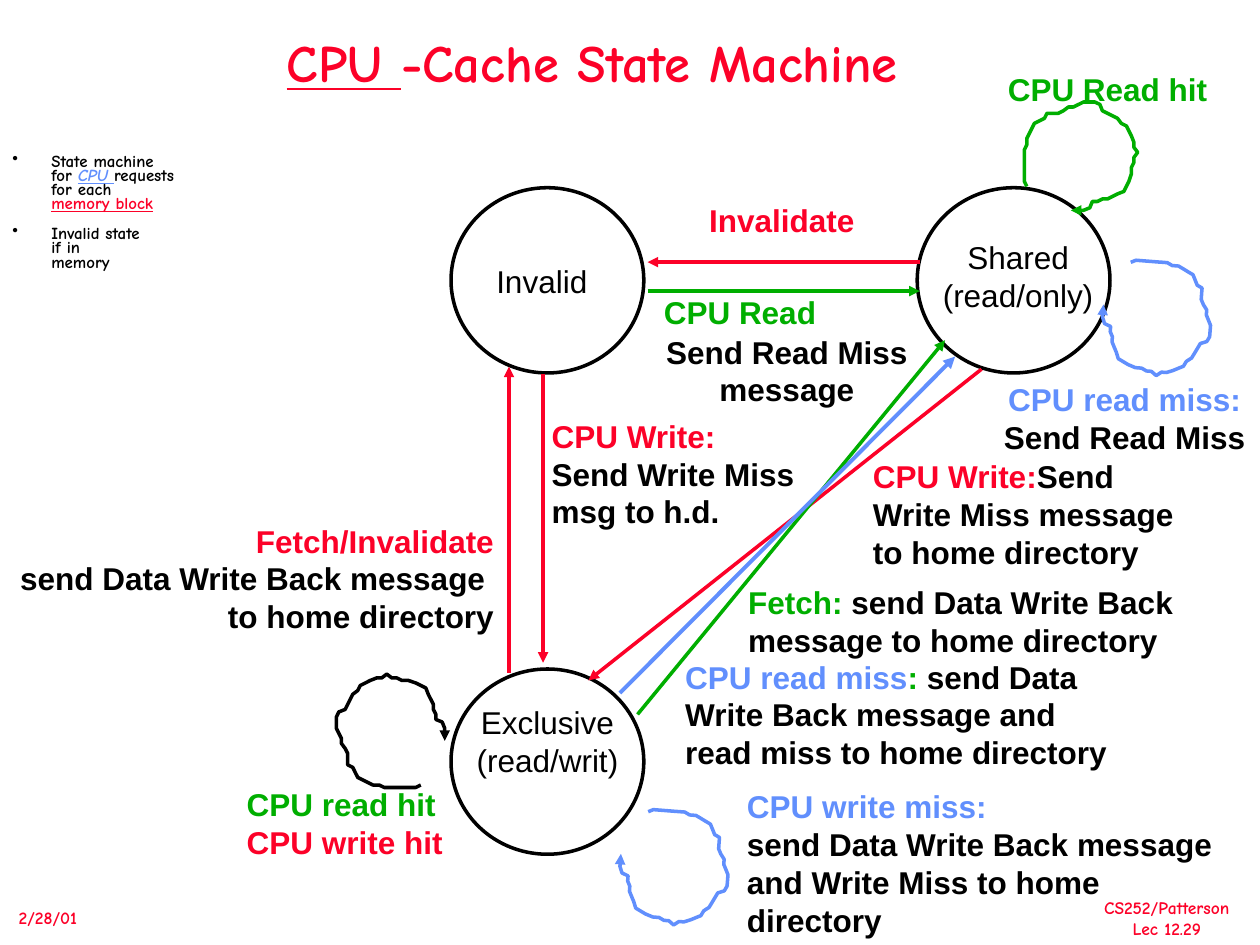
from lxml import etree
from pptx import Presentation
from pptx.dml.color import RGBColor
from pptx.enum.shapes import MSO_CONNECTOR, MSO_SHAPE
from pptx.enum.text import MSO_ANCHOR, MSO_AUTO_SIZE, PP_ALIGN
from pptx.oxml.ns import qn
from pptx.util import Inches, Pt

LEFT, CENTER, RIGHT = PP_ALIGN.LEFT, PP_ALIGN.CENTER, PP_ALIGN.RIGHT
TOP, MIDDLE = MSO_ANCHOR.TOP, MSO_ANCHOR.MIDDLE
FIT_SHAPE, FIXED_SIZE = MSO_AUTO_SIZE.SHAPE_TO_FIT_TEXT, MSO_AUTO_SIZE.NONE
RECTANGLE, OVAL, STRAIGHT = MSO_SHAPE.RECTANGLE, MSO_SHAPE.OVAL, MSO_CONNECTOR.STRAIGHT
COLORS = {"red": "FC0128", "green": "00AE00", "blue": "618FFD",
          "black": "000000", "white": "FFFFFF"}
COMIC, ARIAL = "Comic Neue", "Arial"

TITLE = [[("CPU ", "red", "u"), ("-Cache State Machine", "red")]]
NOTES = [
    [("State machine\nfor ", "black"), ("CPU ", "blue", "iu"),
     ("requests\nfor each \n", "black"), ("memory block", "red", "u")],
    [("Invalid state\nif in \nmemory", "black")],
]
FOOTERS = [
    ((8.66, 7.07, 1.2, 0.43), CENTER, [[("CS252/Patterson", "red")], [("Lec 12.29", "red")]]),
    ((0.05, 7.15, 0.66, 0.27), LEFT, [[("2/28/01", "red")]]),
]

STATE_NAMES = [
    ((3.84, 2.03, 0.92, 0.4), LEFT, False, [[("Invalid", "black")]]),
    ((7.37, 1.84, 1.42, 0.7), CENTER, True, [[("Shared", "black")], [("(read/only)", "black")]]),
    ((3.64, 5.53, 1.41, 0.7), CENTER, True, [[("Exclusive", "black")], [("(read/writ)", "black")]]),
]
FILLED_LABELS = [
    ((5.17, 2.28, 1.45, 0.4), LEFT, False, [[("CPU Read", "green")]]),
    ((7.9, 0.51, 1.85, 0.4), LEFT, False, [[("CPU Read hit", "green")]]),
    ((5.17, 2.59, 2.15, 0.7), CENTER, False,
     [[("Send Read Miss", "black")], [("message", "black")]]),
    ((6.83, 3.58, 2.65, 1), LEFT, False,
     [[("CPU Write:", "red"), ("Send \nWrite Miss message", "black")],
      [("to home directory", "black")]]),
    ((1.86, 6.18, 1.82, 0.7), LEFT, False,
     [[("CPU read hit", "green")], [("CPU write hit", "red")]]),
]
INVALIDATE_LABEL = ((4.96, 1.55, 2.49, 0.7), CENTER, True, [[("Invalidate\n", "red")]])
CLEAR_LABELS = [
    ((0.06, 4.09, 3.96, 1), RIGHT, False,
     [[("Fetch/Invalidate", "red")], [("send Data Write Back message ", "black")],
      [("to home directory", "black")]]),
    ((4.28, 3.26, 2.2, 1), LEFT, False,
     [[("CPU Write: \n", "red"), ("Send Write Miss", "black")], [("msg to h.d.", "black")]]),
    ((5.84, 4.58, 3.66, 0.7), LEFT, True,
     [[("Fetch: ", "green"), ("send Data Write Back message to home directory", "black")]]),
    ((7.68, 2.97, 2.49, 0.7), CENTER, True,
     [[("CPU read miss:", "blue")], [("Send Read Miss", "black")]]),
    ((5.83, 6.2, 3.96, 1.3), LEFT, False,
     [[("CPU write miss:", "blue")], [("send Data Write Back message", "black")],
      [("and Write Miss to home", "black")], [("directory", "black")]]),
    ((5.34, 5.17, 3.66, 1), LEFT, True,
     [[("CPU read miss", "blue"), (": ", "green"),
       ("send Data Write Back message and read miss to home directory", "black")]]),
]

STATE_SIZE = (1.53, 1.47)
STATES = [(7.28, 1.49), (3.58, 5.31), (3.58, 1.49)]
ARROWS = [
    ((5.14, 2.31), (7.3, 2.31), "green", 2, "tailEnd"),
    ((4.31, 2.97), (4.31, 5.26), "red", 2, "tailEnd"),
    ((4.04, 2.91), (4.04, 5.34), "red", 2, "headEnd"),
    ((5.14, 2.08), (7.3, 2.08), "red", 2, "headEnd"),
    ((7.79, 2.93), (4.67, 5.4), "red", 2, "tailEnd"),
    ((7.5, 2.7), (5.06, 5.67), "green", 2, "headEnd"),
    ((4.92, 5.5), (7.58, 2.83), "blue", 2.25, "tailEnd"),
]
LOOP_SIZE = (0.9, 0.86)
LOOP = [
    (0.02, 0.67), (0, 0.63), (0, 0.59), (0, 0.54), (0, 0.5), (0, 0.46), (0, 0.42),
    (0, 0.38), (0.02, 0.34), (0.02, 0.29), (0.04, 0.25), (0.06, 0.21), (0.08, 0.17),
    (0.12, 0.15), (0.16, 0.13), (0.18, 0.09), (0.22, 0.09), (0.27, 0.09), (0.31, 0.07),
    (0.35, 0.04), (0.39, 0.04), (0.43, 0.02), (0.47, 0), (0.52, 0), (0.56, 0),
    (0.6, 0.02), (0.62, 0.07), (0.66, 0.09), (0.7, 0.11), (0.74, 0.13), (0.77, 0.17),
    (0.81, 0.19), (0.83, 0.23), (0.85, 0.27), (0.87, 0.32), (0.87, 0.36), (0.9, 0.4),
    (0.87, 0.44), (0.87, 0.48), (0.85, 0.52), (0.85, 0.57), (0.83, 0.63), (0.81, 0.67),
    (0.79, 0.71), (0.74, 0.73), (0.7, 0.75), (0.66, 0.77), (0.62, 0.77), (0.58, 0.79),
    (0.54, 0.79), (0.52, 0.84), (0.47, 0.86), (0.43, 0.86), (0.39, 0.86), (0.37, 0.86),
]
LOOPS = [
    ((8.58, 1.24), 0, "green"),
    ((3.1, 5.8), 270, "black"),
    ((5.35, 6.89), 94.4, "blue"),
    ((9.18, 2.53), 94.4, "blue"),
]


def color(name):
    return RGBColor.from_string(COLORS[name])


def write_text(shape, paragraphs, *, size, font=ARIAL, bold=True, align=LEFT, wrap=True,
               grow=True, anchor=TOP, spacing=None, before=None, bullet=False):
    frame = shape.text_frame
    frame.word_wrap = wrap
    frame.auto_size = FIT_SHAPE if grow else FIXED_SIZE
    frame.vertical_anchor = anchor
    for index, runs in enumerate(paragraphs):
        paragraph = frame.add_paragraph() if index else frame.paragraphs[0]
        paragraph.alignment = align
        paragraph.line_spacing = spacing
        if before is not None:
            paragraph.space_before = Pt(before)
        paragraph.font.size = Pt(size)
        if bullet:
            properties = paragraph._p.get_or_add_pPr()
            properties.set("marL", str(Inches(0.31)))
            properties.set("indent", str(-Inches(0.31)))
            mark = etree.Element(qn("a:buChar"), char="•")
            properties.find(qn("a:defRPr")).addprevious(mark)
        for text, color_name, *style in runs:
            for part, line in enumerate(text.split("\n")):
                if part:
                    paragraph.add_line_break()
                if not line:
                    continue
                run = paragraph.add_run()
                run.text = line
                run.font.name = font
                run.font.size = Pt(size)
                run.font.bold = bold
                run.font.italic = "i" in style[0] if style else False
                run.font.underline = "u" in style[0] if style else False
                run.font.color.rgb = color(color_name)


def add_text_box(slide, box, paragraphs, filled=False, **text_format):
    box = [Inches(length) for length in box]
    if filled:
        shape = slide.shapes.add_shape(RECTANGLE, *box)
        shape.shadow.inherit = False
        shape.fill.solid()
        shape.fill.fore_color.rgb = color("white")
        shape.line.fill.background()
    else:
        shape = slide.shapes.add_textbox(*box)
    write_text(shape, paragraphs, **text_format)


def style_line(shape, color_name, width=2, arrow=None):
    shape.line.color.rgb = color(color_name)
    shape.line.width = Pt(width)
    if arrow:
        etree.SubElement(shape.line._get_or_add_ln(), qn(f"a:{arrow}"), type="triangle")


def add_arrow(slide, start, end, color_name, width, arrow):
    ends = [Inches(length) for length in start + end]
    connector = slide.shapes.add_connector(STRAIGHT, *ends)
    style_line(connector, color_name, width, arrow)
    etree.SubElement(connector._element.spPr, qn("a:effectLst"))


def add_loop(slide, center, rotation, color_name):
    left, top = (middle - size / 2 for middle, size in zip(center, LOOP_SIZE))
    points = [(Inches(left + x), Inches(top + y)) for x, y in LOOP]
    builder = slide.shapes.build_freeform(*points[0])
    builder.add_line_segments(points[1:], close=False)
    shape = builder.convert_to_shape()
    shape.shadow.inherit = False
    shape.fill.background()
    shape.rotation = rotation
    style_line(shape, color_name, arrow="tailEnd")


def main():
    presentation = Presentation()
    presentation.slide_width, presentation.slide_height = Inches(10), Inches(7.5)
    slide = presentation.slides.add_slide(presentation.slide_layouts[5])
    title = slide.shapes.title
    title.left, title.top, title.width, title.height = map(Inches, (0.23, 0.23, 8.94, 0.58))
    write_text(title, TITLE, size=30, font=COMIC, align=CENTER, grow=False,
               anchor=MIDDLE, spacing=0.9)
    add_text_box(slide, (0, 1.19, 3.96, 1.06), NOTES, size=9.6, font=COMIC, grow=False,
                 spacing=0.7, before=9, bullet=True)
    for box, align, paragraphs in FOOTERS:
        add_text_box(slide, box, paragraphs, size=10, font=COMIC, align=align, wrap=False)
    groups = [([INVALIDATE_LABEL], True, True), (STATE_NAMES, True, False),
              (FILLED_LABELS, True, True), (CLEAR_LABELS, False, True)]
    for labels, filled, bold in groups:
        for box, align, wrap, paragraphs in labels:
            add_text_box(slide, box, paragraphs, filled, size=18, bold=bold, align=align, wrap=wrap)
    for position in STATES:
        state = slide.shapes.add_shape(OVAL, *map(Inches, position + STATE_SIZE))
        state.shadow.inherit = False
        state.fill.background()
        style_line(state, "black")
    for arrow in ARROWS:
        add_arrow(slide, *arrow)
    for loop in LOOPS:
        add_loop(slide, *loop)
    presentation.save("out.pptx")


if __name__ == "__main__":
    main()
